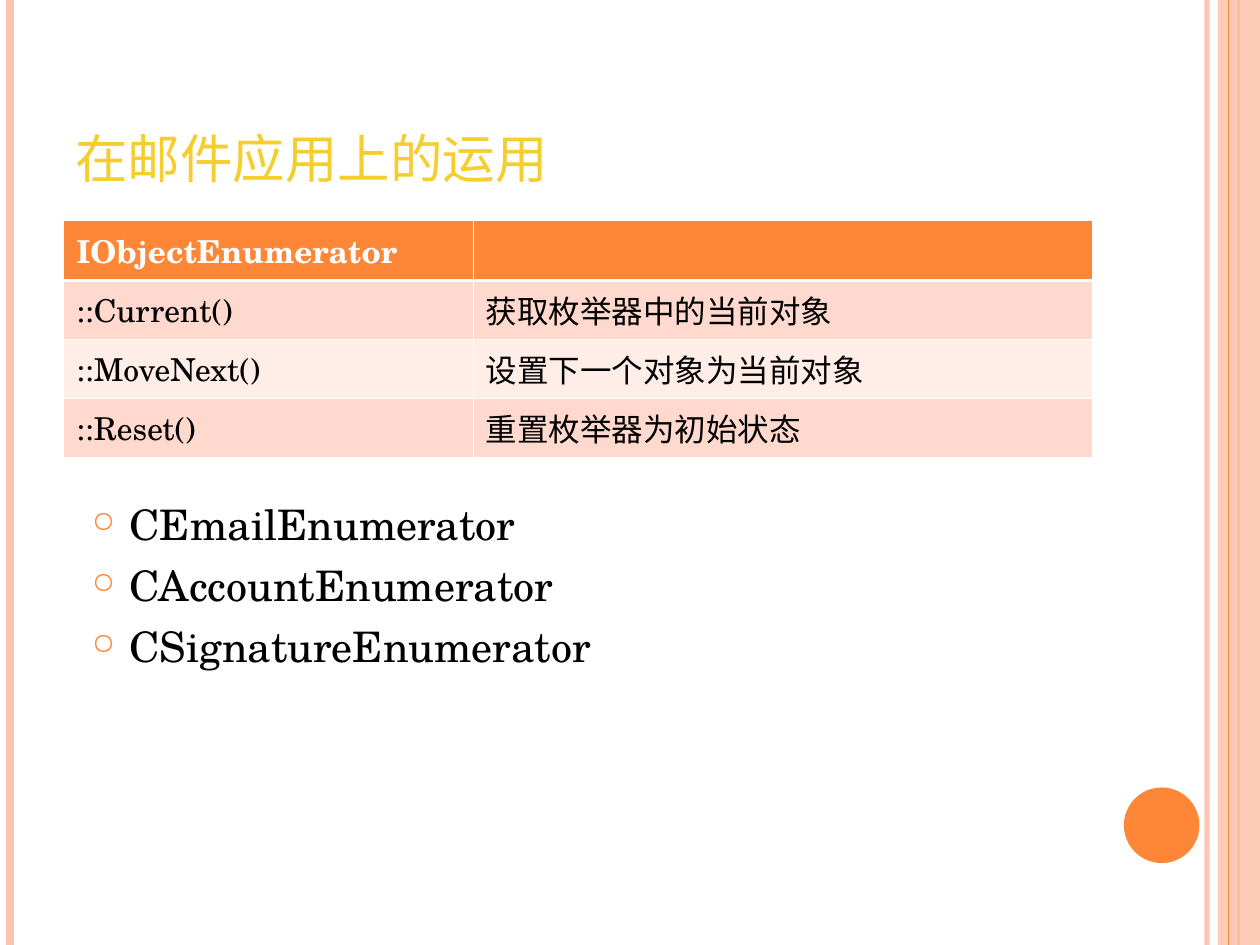
from lxml.etree import SubElement as Sub
from pptx import Presentation
from pptx.dml.color import RGBColor as RGB
from pptx.enum.shapes import MSO_CONNECTOR as Conn, MSO_SHAPE as Shape
from pptx.enum.text import MSO_ANCHOR as Anchor
from pptx.oxml.ns import qn
from pptx.util import Pt

# Content
TITLE = "在邮件应用上的运用"
ROWS = [
    ("IObjectEnumerator", ""),
    ("::Current()", "获取枚举器中的当前对象"),
    ("::MoveNext()", "设置下一个对象为当前对象"),
    ("::Reset()", "重置枚举器为初始状态"),
]
ITEMS = ["CEmailEnumerator", "CAccountEnumerator", "CSignatureEnumerator"]

THEME = dict(
    font="TeX Gyre Schola", main="FE8637", pale="FEC3AE", gold="F5CD2D",
    ink="000000", white="FFFFFF", bands=("FFEDE8", "FFD9CE"),
    title=30, body=24, cell=18,
)
WIDE, HIGH = 720, 540
COLS = (234, 354)
HEAD, ROW = 34.3, 33.7

# Vertical rules: x, colour, width, opacity in percent
BACK = [
    (689.8, THEME["pale"], 3, 93),
    (5.8, THEME["pale"], 4.5, 100),
    (707.8, THEME["main"], 1.5, 100),
]
FRONT = [(702, THEME["main"], 0.75, 100)]

deck = Presentation()
deck.slide_width, deck.slide_height = Pt(WIDE), Pt(HIGH)
slide = deck.slides.add_slide(deck.slide_layouts[6])
shapes = slide.shapes


def fade(node, part):
    """Set the opacity of the solid fill found below the node."""
    color = node.find(".//" + qn("a:srgbClr"))
    Sub(color, qn("a:alpha"), val=str(part * 1000))


def rule(x, color, width, part):
    line = shapes.add_connector(Conn.STRAIGHT, Pt(x), 0, Pt(x), Pt(HIGH))
    line.line.color.rgb = RGB.from_string(color)
    line.line.width = Pt(width)
    props = line._element.spPr
    if part < 100:
        fade(props, part)
    Sub(props, qn("a:effectLst"))


def block(kind, box, color):
    item = shapes.add_shape(kind, *map(Pt, box))
    item.shadow.inherit = False
    item.fill.solid()
    item.fill.fore_color.rgb = RGB.from_string(color)
    item.line.fill.background()
    return item


def write(frame, lines, size, color, bold=False, bullet=None, gap=0):
    frame.word_wrap = True
    for i, text in enumerate(lines):
        para = frame.add_paragraph() if i else frame.paragraphs[0]
        if i:
            para.space_before = Pt(gap)
        if bullet:
            props = para._p.get_or_add_pPr()
            inset = int(Pt(21.6))
            props.set("marL", str(inset))
            props.set("indent", str(-inset))
            tint = Sub(props, qn("a:buClr"))
            Sub(tint, qn("a:srgbClr"), val=THEME["main"])
            Sub(props, qn("a:buSzPct"), val="70000")
            Sub(props, qn("a:buChar"), char=bullet)
        font = para.font
        if text:
            run = para.add_run()
            run.text = text
            font = run.font
        font.name, font.size, font.bold = THEME["font"], Pt(size), bold
        font.color.rgb = RGB.from_string(color)


def edge(cell, side, width):
    line = Sub(cell._tc.get_or_add_tcPr(), qn("a:" + side), w=str(int(Pt(width))))
    fill = Sub(line, qn("a:solidFill"))
    Sub(fill, qn("a:srgbClr"), val=THEME["white"])


# Side bars and disc
for spec_row in BACK:
    rule(*spec_row)
bar = block(Shape.RECTANGLE, (696, 0, 24, HIGH), THEME["pale"])
fade(bar._element.spPr, 87)
for spec_row in FRONT:
    rule(*spec_row)
block(Shape.OVAL, (642.25, 450, 43.2, 43.2), THEME["main"])

# Title
title = shapes.add_textbox(Pt(36), Pt(21.6), Pt(588), Pt(90)).text_frame
title.vertical_anchor = Anchor.BOTTOM
write(title, [TITLE], THEME["title"], THEME["gold"])

# Method table
high = HEAD + ROW * (len(ROWS) - 1)
grid = shapes.add_table(len(ROWS), len(COLS), Pt(36.4), Pt(126),
                        Pt(sum(COLS)), Pt(high)).table
for c, width in enumerate(COLS):
    grid.columns[c].width = Pt(width)
for r, row in enumerate(ROWS):
    grid.rows[r].height = Pt(ROW if r else HEAD)
    for c, text in enumerate(row):
        cell = grid.cell(r, c)
        top, low = (1.47 if r == n else 0.45 for n in (1, 0))
        for side, width in (("lnL", 0.45), ("lnR", 0.45), ("lnT", top), ("lnB", low)):
            edge(cell, side, width)
        cell.fill.solid()
        back = THEME["bands"][r % 2] if r else THEME["main"]
        cell.fill.fore_color.rgb = RGB.from_string(back)
        write(cell.text_frame, [text], THEME["cell"],
              THEME["ink" if r else "white"], bold=not r)

# Class list
body = shapes.add_textbox(Pt(45.4), Pt(281.5), Pt(578.9), Pt(204.5)).text_frame
write(body, ITEMS, THEME["body"], THEME["ink"], bullet="○", gap=6)

deck.save("out.pptx")
